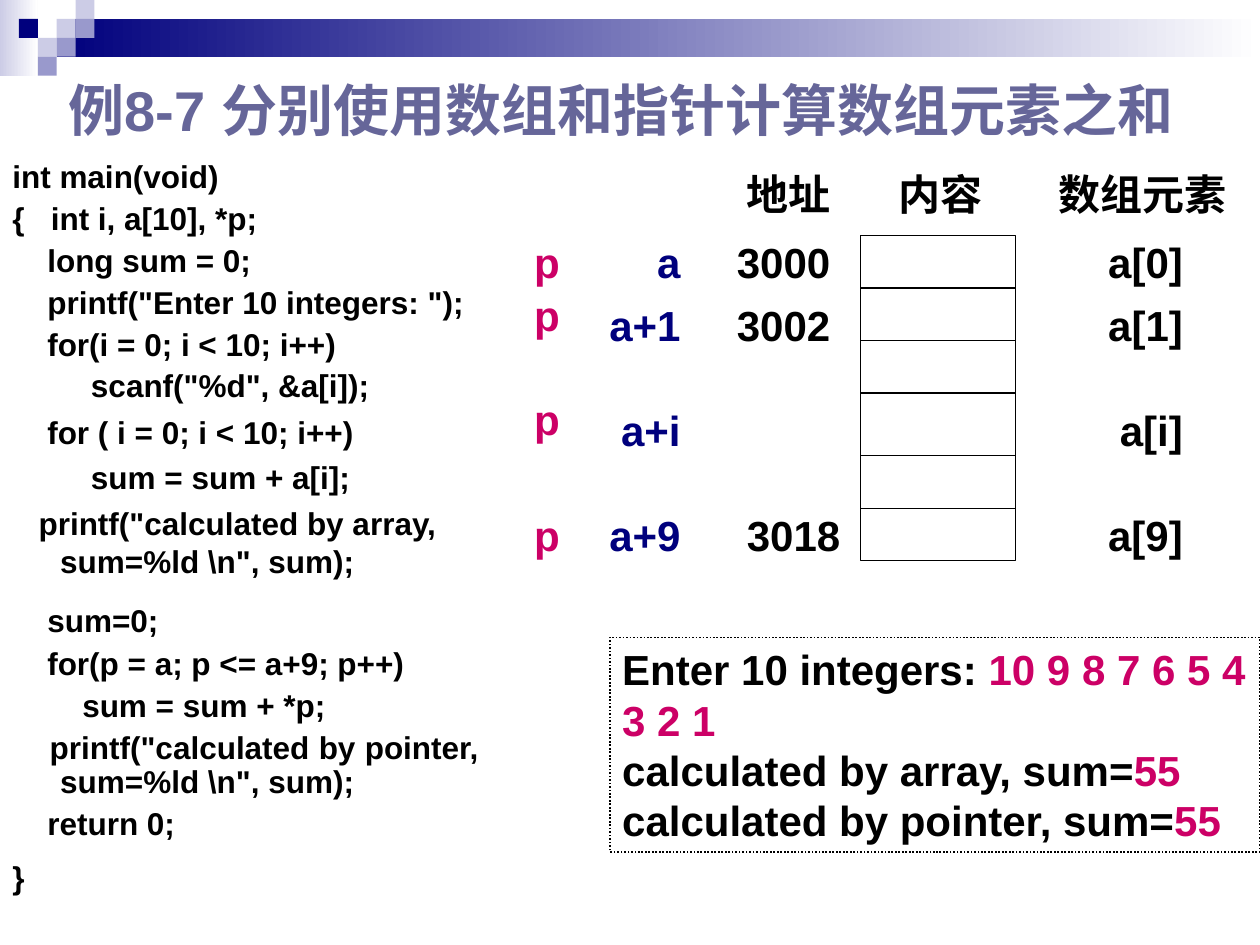
from dataclasses import dataclass
from itertools import accumulate
from typing import NamedTuple

from lxml.etree import SubElement
from pptx import Presentation
from pptx.dml.color import RGBColor
from pptx.enum.dml import MSO_LINE
from pptx.enum.shapes import MSO_CONNECTOR, MSO_SHAPE
from pptx.enum.text import MSO_ANCHOR, PP_ALIGN
from pptx.oxml.ns import qn
from pptx.util import Inches, Pt


@dataclass(frozen=True)
class Theme:
    ink: str = "000000"
    navy: str = "00007D"
    pink: str = "CC0066"
    title: str = "666699"
    pale: str = "CCCCE6"
    mid: str = "9999CC"
    white: str = "FFFFFF"
    font: str = "Arial"
    head_font: str = "Times New Roman"
    title_size: int = 32
    body_size: int = 24
    code_size: int = 18


class Box(NamedTuple):
    x: float
    y: float
    w: float
    h: float

    def inches(self):
        return [Inches(v) for v in self]


T = Theme()
SLIDE_W, SLIDE_H = 10, 7.5
LEFT, RIGHT, JUSTIFY = PP_ALIGN.LEFT, PP_ALIGN.RIGHT, PP_ALIGN.JUSTIFY

# Code lines: text, alignment, line spacing, space before
CODE = [
    ("int main(void)", JUSTIFY, 0.9, 0),
    ("{   int i, a[10], *p;", JUSTIFY, 0.9, 4.5),
    ("    long sum = 0;", JUSTIFY, 0.9, 4.5),
    ('    printf("Enter 10 integers: ");', JUSTIFY, 0.9, 4.5),
    ("    for(i = 0; i < 10; i++)", JUSTIFY, 0.9, 4.5),
    ('         scanf("%d", &a[i]);', JUSTIFY, 0.9, 4.5),
    ("    for ( i = 0; i < 10; i++)", LEFT, 1, 4.5),
    ("         sum = sum + a[i];", LEFT, 1, 4.5),
    ('   printf("calculated by array, sum=%ld \\n", sum);', LEFT, 1, 4.5),
    ("    sum=0;", LEFT, 1, 12),
    ("    for(p = a; p <= a+9; p++)", JUSTIFY, 0.9, 5.5),
    ("        sum = sum + *p;", JUSTIFY, 0.9, 4.5),
    ('    printf("calculated by pointer, sum=%ld \\n", sum);', JUSTIFY, 0.9, 4.5),
    ("    return 0;", JUSTIFY, 0.9, 4.5),
    ("}", JUSTIFY, 0.9, 11.5),
]

OUTPUT = [
    ("Enter 10 integers: ", "10 9 8 7 6 5 4 3 2 1"),
    ("calculated by array, sum=", "55"),
    ("calculated by pointer, sum=", "55"),
]

# Memory rows: pointer row, label row, label, address, element, address indent
MEMORY = [
    (0, 0, "a", "3000", "a[0]", 0),
    (1, 1.2, "a+1", "3002", "a[1]", 0),
    (3, 3.2, "a+i", "", "a[i]", 0),
    (5.2, 5.2, "a+9", "3018", "a[9]", 0.08),
]
CELL_ROWS = [1, 1, 1, 1.2, 1, 1]


def setup_frame(sp, anchor=MSO_ANCHOR.TOP):
    tf = sp.text_frame
    tf.word_wrap = True
    tf.vertical_anchor = anchor
    return tf


def write(p, text, size=T.body_size, color=T.ink, font=T.font, align=LEFT,
          spacing=1, before=0, tabs=()):
    """Add one run to a paragraph and set the paragraph's format."""
    p.alignment, p.line_spacing, p.space_before = align, spacing, Pt(before)
    if tabs:
        tab_list = SubElement(p._p.get_or_add_pPr(), qn("a:tabLst"))
        for pos, kind in tabs:
            SubElement(tab_list, qn("a:tab"), pos=str(Inches(pos)), algn=kind)
    r = p.add_run()
    r.text = text
    f = r.font
    f.size, f.bold, f.name = Pt(size), True, font
    f.color.rgb = RGBColor.from_string(color)


def add_label(s, box, text, anchor=MSO_ANCHOR.MIDDLE, **fmt):
    sp = s.shapes.add_textbox(*box.inches())
    write(setup_frame(sp, anchor).paragraphs[0], text, **fmt)
    return sp


def add_rect(s, box, fill=None, fade=False, line=None, width=0.75):
    sp = s.shapes.add_shape(MSO_SHAPE.RECTANGLE, *box.inches())
    sp.shadow.inherit = False
    if fade:
        sp.fill.gradient()
        sp.fill.gradient_angle = 0
        for stop, color, pos in zip(sp.fill.gradient_stops, (fill, T.white), (0, 1)):
            stop.color.rgb = RGBColor.from_string(color)
            stop.position = pos
    elif fill:
        sp.fill.solid()
        sp.fill.fore_color.rgb = RGBColor.from_string(fill)
    else:
        sp.fill.background()
    if line:
        sp.line.color.rgb = RGBColor.from_string(line)
        sp.line.width = Pt(width)
    else:
        sp.line.fill.background()
    return sp


def add_rule(s, x1, x2, y):
    ln = s.shapes.add_connector(
        MSO_CONNECTOR.STRAIGHT, Inches(x1), Inches(y), Inches(x2), Inches(y))
    ln.line.color.rgb = RGBColor.from_string(T.ink)
    ln.line.width = Pt(0.75)
    SubElement(ln._element.spPr, qn("a:effectLst"))


def add_banner(s, box):
    """Fading bars with a mosaic of squares, four rows high."""
    u = box.h / 4
    add_rect(s, Box(box.x, box.y, 2 * u, box.h), T.pale, fade=True)
    add_rect(s, Box(box.x + 3 * u, box.y + u, box.w - 3 * u, 2 * u), T.navy, fade=True)
    squares = [(3, 1, T.pale), (4, 0, T.pale), (4, 1, T.mid), (2, 2, T.pale),
               (1, 1, T.navy), (3, 2, T.mid), (2, 3, T.mid)]
    for col, row, color in squares:
        add_rect(s, Box(box.x + col * u, box.y + row * u, u, u), color)


def add_title(s, box):
    sp = add_label(s, box, "例8-7 分别使用数组和指针计算数组元素之和", MSO_ANCHOR.BOTTOM,
                   size=T.title_size, color=T.title, align=RIGHT)
    sp.text_frame.margin_right = Inches(0.26)


def add_code(s, box):
    tf = setup_frame(s.shapes.add_textbox(*box.inches()))
    for i, (text, align, spacing, before) in enumerate(CODE):
        p = tf.add_paragraph() if i else tf.paragraphs[0]
        write(p, text, size=T.code_size, align=align, spacing=spacing, before=before)
        pPr = p._p.get_or_add_pPr()
        pPr.set("marL", str(Inches(0.38)))
        pPr.set("indent", str(-Inches(0.38)))


def add_memory(s, box):
    """Pointer, label, address, cell and element columns over one row grid."""
    u = box.h / sum(CELL_ROWS)
    left, top = box.x, box.y
    cells = Box(left + 2.87, top, 1.23, box.h)
    add_rect(s, cells, line=T.ink)
    for rows in list(accumulate(CELL_ROWS))[:-1]:
        add_rule(s, cells.x, cells.x + cells.w, top + rows * u)
    # Column heads
    add_label(s, Box(left + 1.87, top - 0.58, 4.08, 0.5), "地址\t内容\t数组元素",
              font=T.head_font, tabs=[(1.2, "l"), (2.47, "l")])
    # Memory rows
    for p_row, row, label, address, element, indent in MEMORY:
        y = top + row * u
        add_label(s, Box(left, top + p_row * u, 0.58, u), "p", color=T.pink, align=RIGHT)
        add_label(s, Box(left + 0.54, y, 1, u), label, color=T.navy, align=RIGHT)
        add_label(s, Box(left + 1.79 + indent, y, 3.83, u), f"{address}\t{element}",
                  tabs=[(3.54 - indent, "r")])


def add_output(s, box):
    sp = add_rect(s, box, line=T.ink, width=1)
    sp.line.dash_style = MSO_LINE.ROUND_DOT
    tf = setup_frame(sp)
    for i, (prompt, value) in enumerate(OUTPUT):
        p = tf.add_paragraph() if i else tf.paragraphs[0]
        write(p, prompt)
        write(p, value, color=T.pink)


def main():
    prs = Presentation()
    prs.slide_width, prs.slide_height = Inches(SLIDE_W), Inches(SLIDE_H)
    s = prs.slides.add_slide(prs.slide_layouts[6])
    add_banner(s, Box(0, 0, SLIDE_W, 0.6))
    add_code(s, Box(0, 1.23, 3.9, 5.52))
    add_title(s, Box(0, 0.35, 9.58, 0.83))
    add_output(s, Box(4.84, 5.06, 5.16, 1.7))
    add_memory(s, Box(3.96, 1.87, 5.95, 2.58))
    prs.save("out.pptx")


if __name__ == "__main__":
    main()
